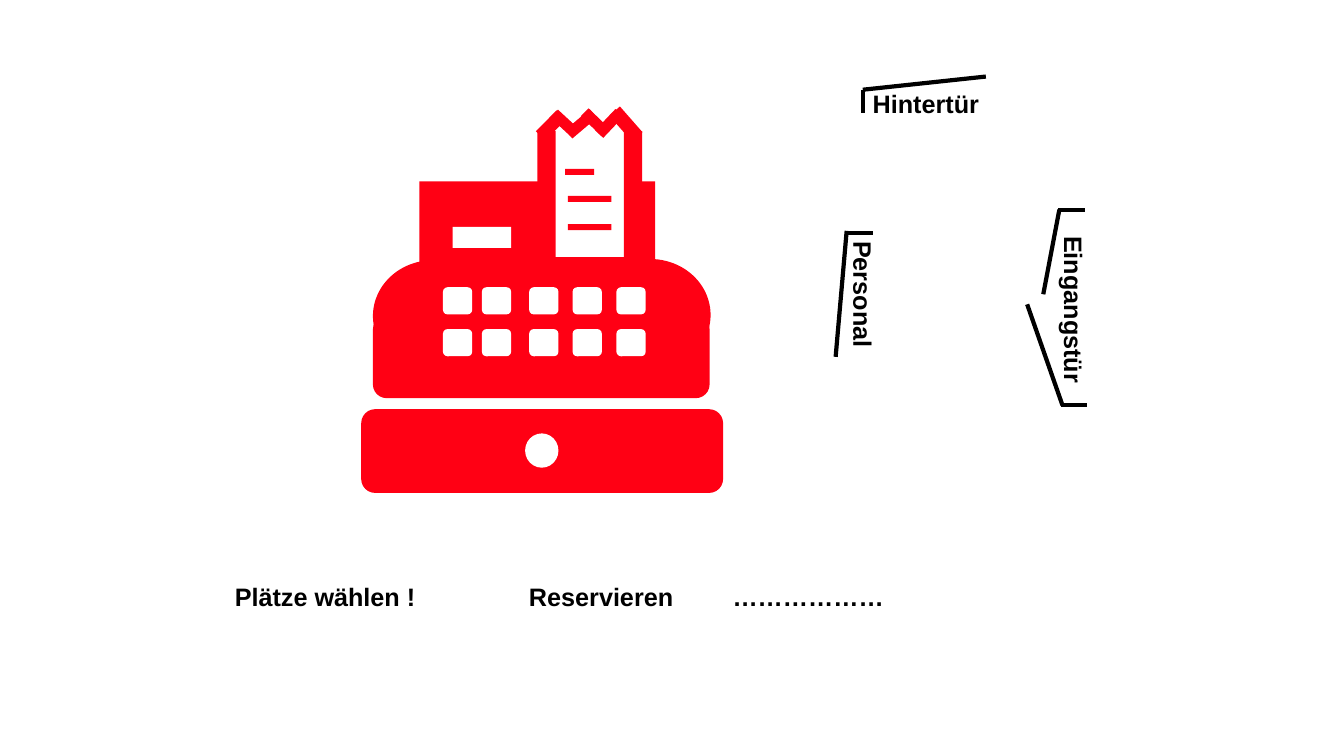
from pptx import Presentation
from pptx.util import Pt
from pptx.dml.color import RGBColor
from pptx.enum import shapes, text
from pptx.oxml import ns
from lxml import etree

RED, WHITE, BLACK = "FF0014", "FFFFFF", "000000"
KIND = shapes.MSO_SHAPE
RECT, ROUND, OVAL = KIND.RECTANGLE, KIND.ROUNDED_RECTANGLE, KIND.OVAL


def tint(code):
    return RGBColor.from_string(code)


def part(slide, kind, x, y, w, h, fill=RED, turn=0):
    shape = slide.shapes.add_shape(kind, Pt(x), Pt(y), Pt(w), Pt(h))
    shape.shadow.inherit = False
    shape.fill.solid()
    shape.fill.fore_color.rgb = tint(fill)
    shape.line.fill.background()
    shape.rotation = turn


def label(slide, words, x, y, w, turn=0):
    box = slide.shapes.add_textbox(Pt(x), Pt(y), Pt(w), Pt(28.8))
    box.rotation = turn
    frame = box.text_frame
    frame.word_wrap = True
    frame.auto_size = text.MSO_AUTO_SIZE.SHAPE_TO_FIT_TEXT
    run = frame.paragraphs[0].add_run()
    run.text = words
    run.font.name = "Arial"
    run.font.size = Pt(18)
    run.font.bold = True
    run.font.color.rgb = tint(BLACK)


def stroke(slide, x1, y1, x2, y2):
    line = slide.shapes.add_connector(
        shapes.MSO_CONNECTOR.STRAIGHT, Pt(x1), Pt(y1), Pt(x2), Pt(y2))
    line.line.color.rgb = tint(BLACK)
    line.line.width = Pt(3)
    props = line._element.find(ns.qn("p:spPr"))
    etree.SubElement(props, ns.qn("a:effectLst"))


def till(slide, left, top):
    def put(kind, x, y, w, h, fill=RED, turn=0):
        part(slide, kind, left + x, top + y, w, h, fill, turn)

    put(ROUND, 0, 216.3, 258.5, 59.8)
    put(ROUND, 8.4, 149.4, 240.5, 59)
    put(RECT, 53, 107.6, 157, 46.8)
    put(OVAL, 163.2, 109, 86.4, 79.9)
    put(OVAL, 8.4, 109.8, 86.4, 79.9)
    for y in (129.2, 159.1):
        for x in (58.4, 86.2, 120, 151, 182.3):
            put(ROUND, x, y, 20.9, 19.4, WHITE)
    put(OVAL, 117.1, 233.6, 23.8, 24.5, WHITE)
    put(RECT, 41.5, 53.6, 86.4, 58.3)
    put(RECT, 65.3, 86, 41.8, 15.1, WHITE)
    put(RECT, 192, 53.6, 18, 54)
    for x in (187.7, 125.8):
        put(RECT, x, 17.6, 13, 95)
    teeth = [
        (184.1, 0.3, 10.1, 24.5, 318.7),
        (141.6, 1.8, 7.9, 20.9, 312.7),
        (163.2, 1, 7.9, 20.9, 314),
        (173.3, 1.8, 7.9, 20.9, 43.5),
        (153.1, 1, 7.9, 23, 49.7),
        (130.8, 3.2, 9.4, 20.9, 44.6),
    ]
    for x, y, w, h, turn in teeth:
        put(RECT, x, y, w, h, turn=turn)
    for x, y, w in ((145.6, 44.6, 20.9), (147.7, 64, 31), (147.7, 84.2, 31)):
        put(RECT, x, y, w, 4.3)


def doors(slide, left, top):
    for words, x, y, w, turn in (
            ("Personal", 5.2, 152.3, 103, 90),
            ("Eingangstür", 144.9, 159.5, 124.6, 90),
            ("Hintertür", 56.3, 9.8, 98.6, 0)):
        label(slide, words, left + x, top + y, w, turn)
    lines = [
        (196.7, 99.8, 185.2, 160.2),
        (173.7, 167.4, 198.9, 239.4),
        (44.8, 114.9, 36.9, 204.9),
        (144.2, 4.7, 56.3, 14.1),
        (196, 99.8, 214.7, 99.8),
        (198.2, 239.4, 216.2, 239.4),
        (44.8, 116.3, 63.5, 116.3),
        (56.3, 14.1, 56.3, 30.6),
    ]
    for x1, y1, x2, y2 in lines:
        stroke(slide, left + x1, top + y1, left + x2, top + y2)


def footer(slide, left, top):
    for words, x, w in (("Plätze wählen !", 0, 144.7),
                        ("Reservieren", 210.2, 129.6),
                        ("…" * 6, 355.6, 129.6)):
        label(slide, words, left + x, top, w)


deck = Presentation()
deck.slide_width, deck.slide_height = Pt(960), Pt(540)
page = deck.slides.add_slide(deck.slide_layouts[6])
till(page, 258, 76)
footer(page, 160.6, 411.8)
doors(page, 560, 50)
deck.save("out.pptx")
